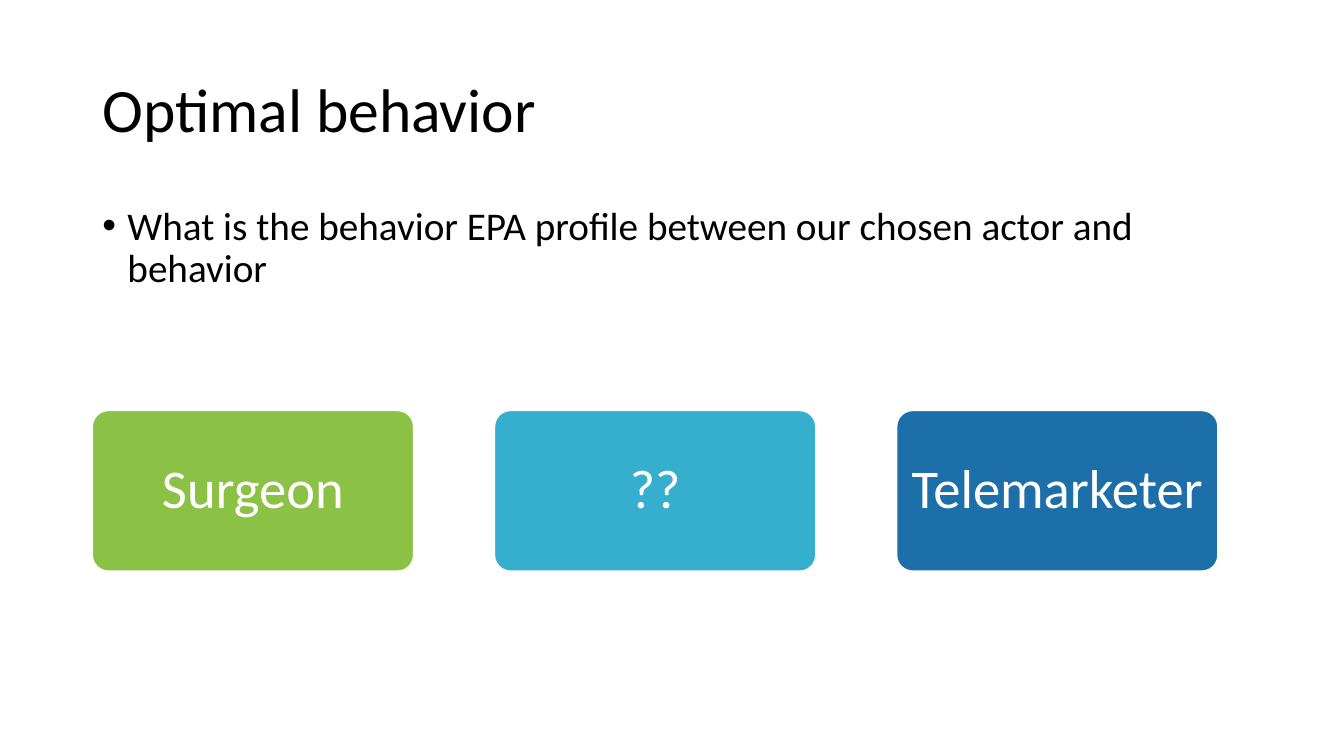
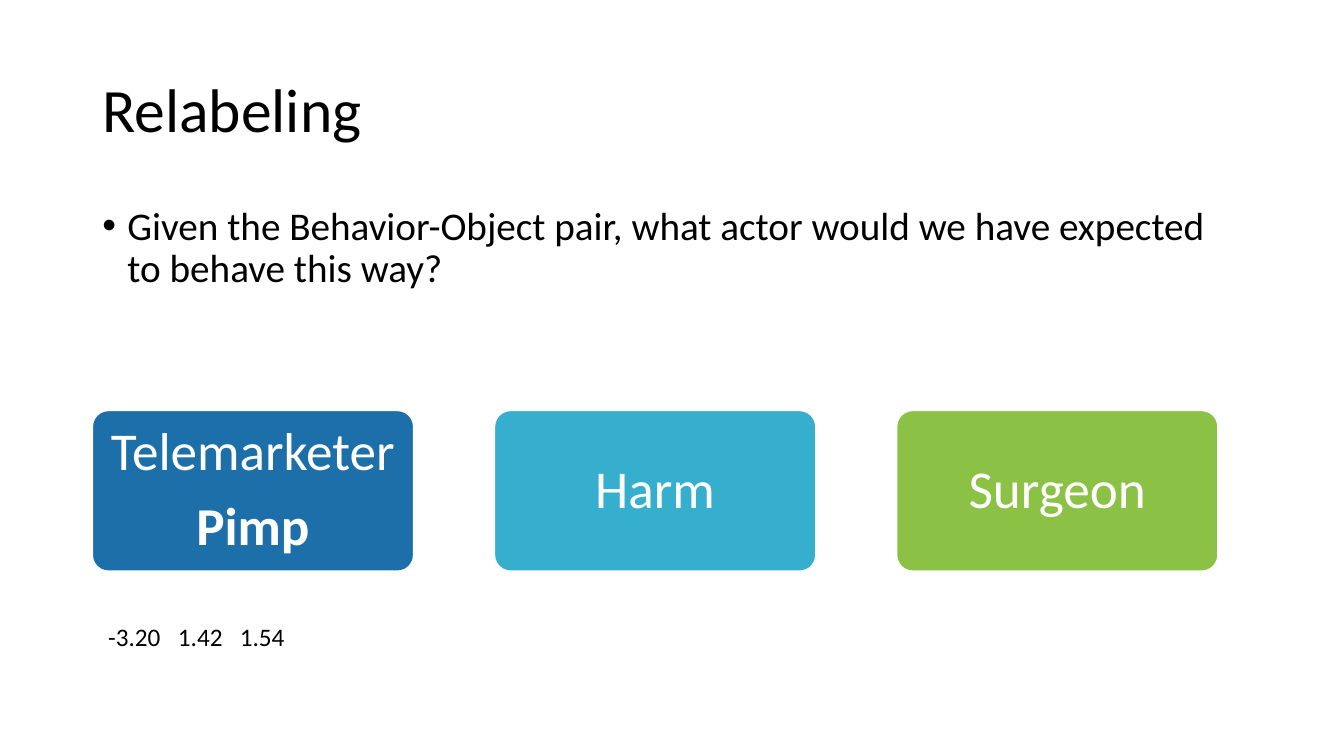
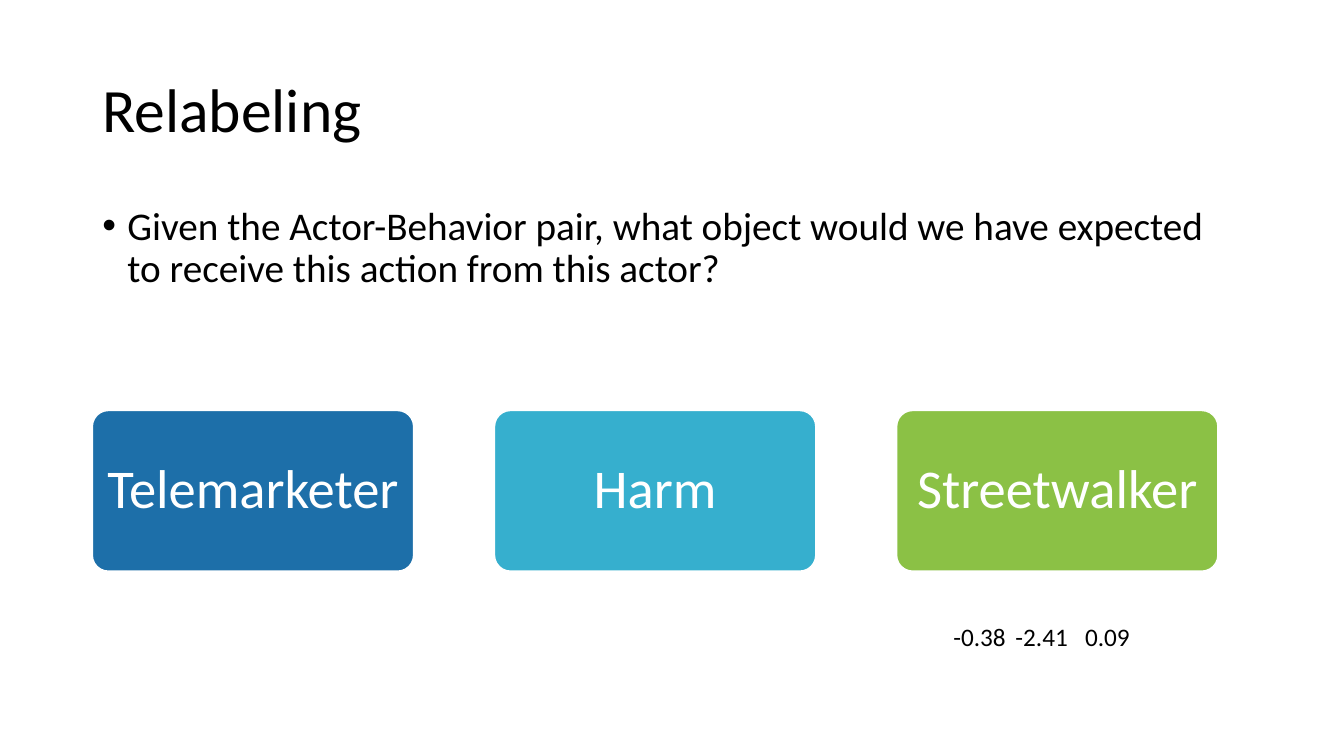
from dataclasses import dataclass

from lxml.etree import SubElement
from pptx import Presentation
from pptx.dml.color import RGBColor
from pptx.enum.shapes import MSO_SHAPE
from pptx.enum.text import MSO_ANCHOR, PP_ALIGN
from pptx.oxml.ns import qn
from pptx.util import Emu, Pt


@dataclass(frozen=True)
class Theme:
    """Colours, font and type sizes shared by all slides."""

    font: str = "Calibri"
    ink: str = "000000"
    white: str = "FFFFFF"
    green: str = "8BC145"
    teal: str = "36AFCE"
    blue: str = "1D6FA9"
    title: int = 44
    body: int = 28
    card: int = 39
    card_small: int = 38
    reading: int = 18


T = Theme()
LEFT, CONTENT_W = 88, 1104
CARD_TOP, CARD_W, CARD_H, CARD_PITCH = 391, 306, 153, 383
READING_TABS = (109, 168)


def px(n):
    """Turn px into EMU at 96 px to the inch."""
    return Emu(n * 9525)


def rgb(color):
    """Turn a hex string into a colour."""
    return RGBColor.from_string(color)


def add_run(p, text, size, color=T.ink, bold=False):
    """Add one styled run to a paragraph."""
    r = p.add_run()
    r.text = text
    r.font.name = T.font
    r.font.size = Pt(size)
    r.font.bold = bold
    r.font.color.rgb = rgb(color)


def add_text(s, x, y, w, h, text, size, anchor=MSO_ANCHOR.TOP):
    """Add a wrapped text box and return its text frame."""
    tf = s.shapes.add_textbox(px(x), px(y), px(w), px(h)).text_frame
    tf.word_wrap = True
    tf.vertical_anchor = anchor
    add_run(tf.paragraphs[0], text, size)
    return tf


def add_title(s, text):
    """Add the slide title."""
    tf = add_text(s, LEFT, 38, CONTENT_W, 139, text, T.title, MSO_ANCHOR.MIDDLE)
    tf.paragraphs[0].line_spacing = 0.9


def add_bullet(s, text):
    """Add the bulleted question under the title."""
    p = add_text(s, LEFT, 192, CONTENT_W, 457, text, T.body).paragraphs[0]
    p.line_spacing = 0.9
    p.space_before = Pt(10)
    pPr = p._p.get_or_add_pPr()
    pPr.set("marL", str(px(24)))
    pPr.set("indent", str(px(-24)))
    SubElement(pPr, qn("a:buFont")).set("typeface", "Arial")
    SubElement(pPr, qn("a:buChar")).set("char", "•")


def add_card(s, column, lines, color, size):
    """Add a rounded card; any line after the first is bold."""
    sp = s.shapes.add_shape(
        MSO_SHAPE.ROUNDED_RECTANGLE,
        px(LEFT + column * CARD_PITCH), px(CARD_TOP), px(CARD_W), px(CARD_H),
    )
    sp.adjustments[0] = 0.1
    sp.shadow.inherit = False
    sp.fill.solid()
    sp.fill.fore_color.rgb = rgb(color)
    sp.line.color.rgb = rgb(T.white)
    sp.line.width = Pt(1)
    tf = sp.text_frame
    tf.word_wrap = True
    tf.vertical_anchor = MSO_ANCHOR.MIDDLE
    tf.margin_left = tf.margin_right = px(8)
    tf.margin_top = tf.margin_bottom = px(5)
    for i, line in enumerate(lines):
        p = tf.paragraphs[0] if i == 0 else tf.add_paragraph()
        p.alignment = PP_ALIGN.CENTER
        p.line_spacing = 0.9
        p.space_after = Pt(13)
        add_run(p, line, size, T.white, bold=i > 0)


def add_reading(s, x, values):
    """Add an EPA profile with its numbers set on right tabs."""
    tf = add_text(s, x, 587, 299, 38, "\t".join(values), T.reading)
    tf.margin_left = px(15)
    tabs = SubElement(tf.paragraphs[0]._p.get_or_add_pPr(), qn("a:tabLst"))
    for pos in READING_TABS:
        tab = SubElement(tabs, qn("a:tab"))
        tab.set("pos", str(px(pos)))
        tab.set("algn", "r")


def add_slide(prs, title, question, cards, size=T.card):
    """Add a slide with a title, a question and a row of cards."""
    s = prs.slides.add_slide(prs.slide_layouts[6])
    add_title(s, title)
    add_bullet(s, question)
    for column, (lines, color) in enumerate(cards):
        add_card(s, column, lines, color, size)
    return s


def main():
    """Build and save the presentation."""
    prs = Presentation()
    prs.slide_width, prs.slide_height = px(1280), px(720)

    add_slide(
        prs, "Optimal behavior",
        "What is the behavior EPA profile between our chosen actor and behavior",
        [(["Surgeon"], T.green), (["??"], T.teal), (["Telemarketer"], T.blue)],
    )

    s = add_slide(
        prs, "Relabeling",
        "Given the Behavior-Object pair, what actor would we have expected "
        "to behave this way?",
        [(["Telemarketer", "Pimp"], T.blue), (["Harm"], T.teal), (["Surgeon"], T.green)],
        T.card_small,
    )
    add_reading(s, LEFT, ["-3.20", "1.42", "1.54"])

    s = add_slide(
        prs, "Relabeling",
        "Given the Actor-Behavior pair, what object would we have expected "
        "to receive this action from this actor?",
        [(["Telemarketer"], T.blue), (["Harm"], T.teal), (["Streetwalker"], T.green)],
    )
    add_reading(s, 893, ["-0.38", "-2.41", "0.09"])

    prs.save("out.pptx")


if __name__ == "__main__":
    main()
